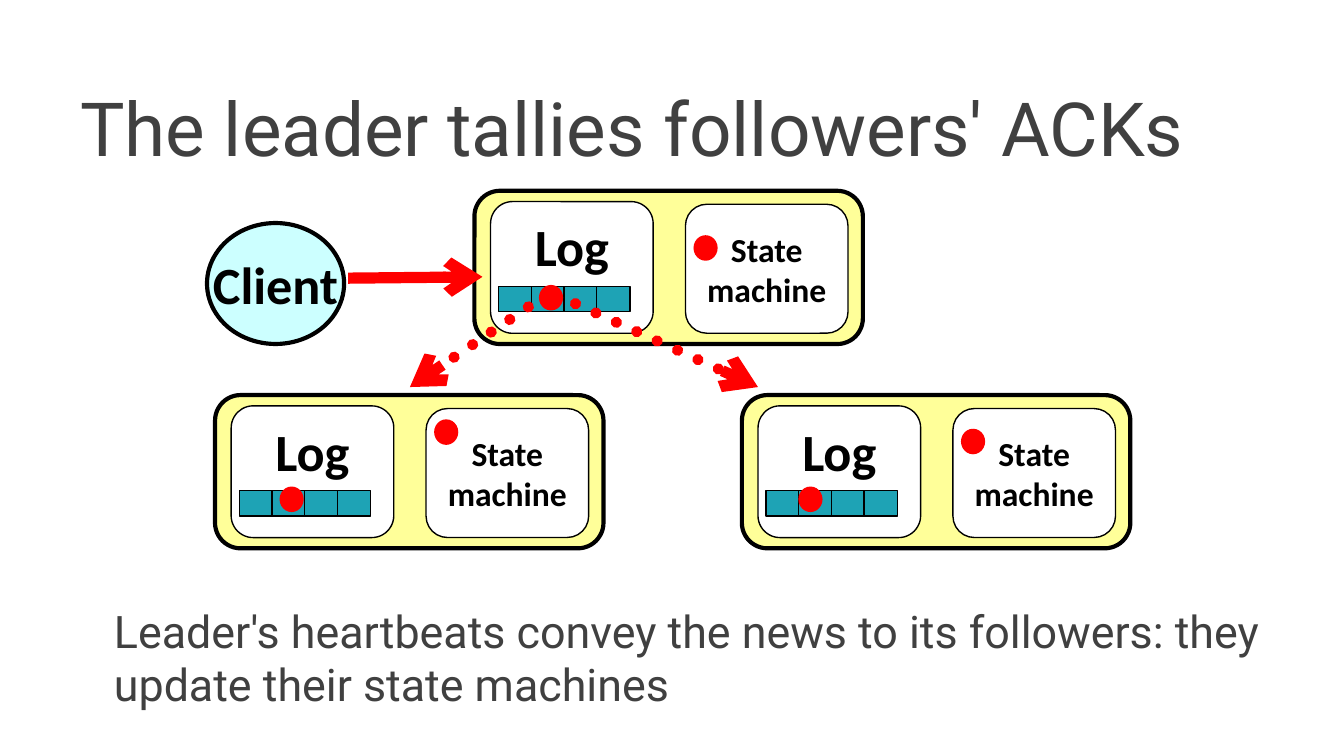
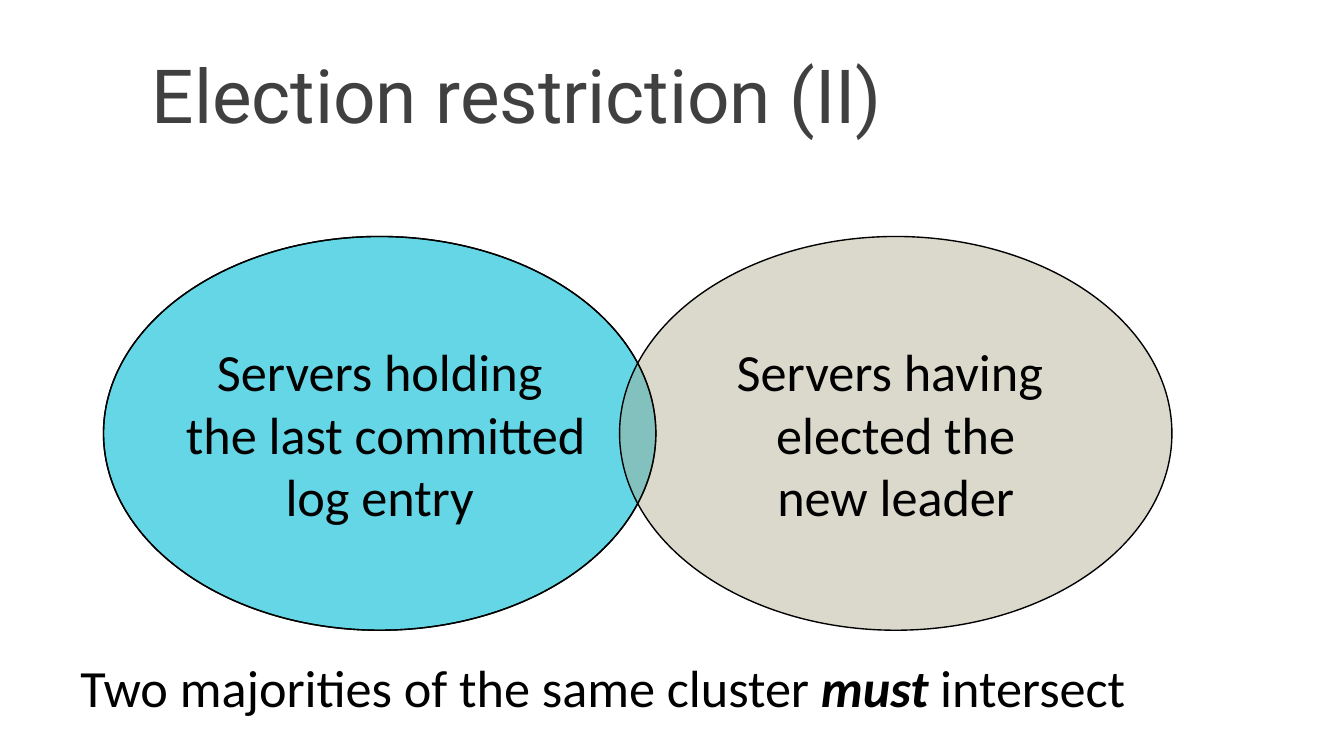
from dataclasses import dataclass
from typing import Optional

from lxml import etree
from pptx import Presentation
from pptx import util as u
from pptx.dml.color import RGBColor
from pptx.enum import dml, shapes, text
from pptx.oxml import ns

COLUMN = u.Inches(0.1)
ROW = u.Inches(0.1)
COLUMNS, ROWS = 100, 56.25

BLACK = RGBColor(0x00, 0x00, 0x00)
WHITE = RGBColor(0xFF, 0xFF, 0xFF)
GREY = RGBColor(0x40, 0x40, 0x40)
RED = RGBColor(0xFF, 0x00, 0x00)
YELLOW = RGBColor(0xFF, 0xFF, 0x99)
TEAL = RGBColor(0x1E, 0xA3, 0xB5)
PALE_CYAN = RGBColor(0xCC, 0xFF, 0xFF)
CYAN = RGBColor(0x65, 0xD6, 0xE5)
KHAKI = RGBColor(0xAB, 0xA5, 0x87)

OVAL = shapes.MSO_SHAPE.OVAL
RECTANGLE = shapes.MSO_SHAPE.RECTANGLE
ROUNDED = shapes.MSO_SHAPE.ROUNDED_RECTANGLE
MIDDLE = text.MSO_ANCHOR.MIDDLE
TOP = text.MSO_ANCHOR.TOP
CENTER = text.PP_ALIGN.CENTER
THIN, THICK, ARROW = 0.75, 2.25, 6


@dataclass(frozen=True)
class Box:
    column: float
    row: float
    columns: float
    rows: float

    def moved(self, column: float, row: float) -> "Box":
        return Box(self.column + column, self.row + row, self.columns, self.rows)

    def lengths(self) -> tuple:
        return (round(self.column * COLUMN), round(self.row * ROW),
                round(self.columns * COLUMN), round(self.rows * ROW))


@dataclass(frozen=True)
class Run:
    words: str
    bold: bool = False
    italic: bool = False


@dataclass(frozen=True)
class Style:
    size: float
    font: str = "Calibri"
    color: RGBColor = BLACK


@dataclass(frozen=True)
class Look:
    kind: shapes.MSO_SHAPE
    fill: Optional[RGBColor] = None
    line: float = 0
    opacity: int = 100


@dataclass(frozen=True)
class Server:
    column: float
    row: float
    log_dot: tuple
    state_dot: tuple


@dataclass(frozen=True)
class Arrow:
    start: tuple
    end: tuple
    dotted: bool = False


TITLE = Style(40, "Roboto", GREY)
BODY = Style(24, "Roboto", GREY)
LARGE = Style(28)
SMALL = Style(18)

FRAME_LOOK = Look(ROUNDED, YELLOW, THICK)
PANEL_LOOK = Look(ROUNDED, WHITE, THIN)
CELL_LOOK = Look(RECTANGLE, TEAL, THIN)
DOT_LOOK = Look(OVAL, RED)

FRAME = Box(0, 0, 28.9, 11.4)
STATE_PANEL = Box(15.7, 1, 12.1, 9.6)
LOG_PANEL = Box(1.2, 0.8, 12.1, 9.8)
CELL = Box(1.8, 7.1, 2.5, 1.9)
CELL_COUNT, CELL_STEP = 4, 2.43
DOT = Box(0, 0, 1.8, 1.9)

LEADER = Server(35.3, 14.2, (4.8, 7), (16.3, 3.3))
FOLLOWERS = [
    Server(16, 29.4, (4.8, 6.8), (16.3, 1.8)),
    Server(55.2, 29.4, (4.2, 6.8), (16.3, 2.5)),
]
REQUEST = Arrow((25.9, 20.7), (35.9, 20.6))
HEARTBEATS = [
    Arrow((40.7, 21.9), (30.5, 28.8), True),
    Arrow((41.3, 21.9), (56.4, 28.8), True),
]

MAJORITY = Box(7.7, 17.6, 41.1, 29.3)
MAJORITY_STEP = 38.4


def write(frame, lines: list, style: Style, align=None, anchor=TOP, wrap: bool = False) -> None:
    frame.word_wrap = wrap
    frame.vertical_anchor = anchor
    for index, runs in enumerate(lines):
        paragraph = frame.add_paragraph() if index else frame.paragraphs[0]
        paragraph.alignment = align
        for item in runs:
            run = paragraph.add_run()
            run.text = item.words
            font = run.font
            font.name, font.size = style.font, u.Pt(style.size)
            font.bold, font.italic = item.bold, item.italic
            font.color.rgb = style.color


def add_text(slide, box: Box, lines: list, style: Style, anchor=TOP, wrap: bool = True):
    shape = slide.shapes.add_textbox(*box.lengths())
    write(shape.text_frame, lines, style, anchor=anchor, wrap=wrap)
    return shape


def add_title(slide, box: Box, words: str) -> None:
    add_text(slide, box, [[Run(words)]], TITLE, MIDDLE)


def add_figure(slide, box: Box, look: Look):
    shape = slide.shapes.add_shape(look.kind, *box.lengths())
    shape.shadow.inherit = False
    if look.fill is None:
        shape.fill.background()
    else:
        shape.fill.solid()
        shape.fill.fore_color.rgb = look.fill
    if look.opacity < 100:
        color = shape.fill._xPr.find(".//" + ns.qn("a:srgbClr"))
        etree.SubElement(color, ns.qn("a:alpha"), val=str(look.opacity * 1000))
    if look.line:
        shape.line.color.rgb = BLACK
        shape.line.width = u.Pt(look.line)
    else:
        shape.line.fill.background()
    return shape


def add_labelled(slide, box: Box, look: Look, lines: list, style: Style,
                 bold: bool = False, anchor=MIDDLE) -> None:
    shape = add_figure(slide, box, look)
    write(shape.text_frame, [[Run(line, bold)] for line in lines], style, CENTER, anchor)


def add_server(slide, server: Server) -> None:
    corner = (server.column, server.row)
    add_figure(slide, FRAME.moved(*corner), FRAME_LOOK)
    add_labelled(slide, STATE_PANEL.moved(*corner), PANEL_LOOK,
                 ["State", "machine"], SMALL, True)
    add_labelled(slide, LOG_PANEL.moved(*corner), PANEL_LOOK, ["Log"], LARGE, True, TOP)
    for index in range(CELL_COUNT):
        add_figure(slide, CELL.moved(*corner).moved(index * CELL_STEP, 0), CELL_LOOK)
    for dot in (server.log_dot, server.state_dot):
        add_figure(slide, DOT.moved(*corner).moved(*dot), DOT_LOOK)


def add_arrow(slide, arrow: Arrow) -> None:
    ends = [round(value * unit) for point in (arrow.start, arrow.end)
            for value, unit in zip(point, (COLUMN, ROW))]
    connector = slide.shapes.add_connector(shapes.MSO_CONNECTOR.STRAIGHT, *ends)
    connector.line.color.rgb = RED
    connector.line.width = u.Pt(ARROW)
    line = connector.line._get_or_add_ln()
    if arrow.dotted:
        connector.line.dash_style = dml.MSO_LINE.ROUND_DOT
        line.set("cap", "rnd")
    etree.SubElement(line, ns.qn("a:tailEnd"), type="arrow")
    etree.SubElement(connector._element.spPr, ns.qn("a:effectLst"))


def build_tally(slide) -> None:
    add_title(slide, Box(5, 3.8, 95, 11.2), "The leader tallies followers' ACKs")
    body = add_text(slide, Box(7.5, 44.4, 90, 7.5), [[Run(
        "Leader's heartbeats convey the news to its followers: "
        "they update their state machines")]], BODY)
    body.text_frame.paragraphs[0].space_before = u.Pt(0.2 * BODY.size)
    for server in (LEADER, *FOLLOWERS):
        add_server(slide, server)
    add_labelled(slide, Box(15.4, 16.6, 10.2, 9), Look(OVAL, PALE_CYAN, THICK),
                 ["Client"], LARGE, True)
    for arrow in (REQUEST, *HEARTBEATS):
        add_arrow(slide, arrow)


def build_election(slide) -> None:
    add_title(slide, Box(10.3, 2.3, 78.4, 9.4), "Election restriction (II)")
    add_labelled(slide, MAJORITY, Look(OVAL, CYAN, THIN),
                 ["Servers holding", " the last committed", "log entry"], LARGE)
    add_labelled(slide, MAJORITY.moved(MAJORITY_STEP, 0), Look(OVAL, KHAKI, THIN, 42),
                 ["Servers having ", "elected the", "new leader"], LARGE)
    add_figure(slide, MAJORITY, Look(OVAL, line=THIN))
    conclusion = add_text(slide, Box(5, 48.3, 81.1, 5.7), [[
        Run("Two majorities of the same cluster "),
        Run("must", True, True),
        Run(" intersect"),
    ]], LARGE, wrap=False)
    conclusion.text_frame.auto_size = text.MSO_AUTO_SIZE.SHAPE_TO_FIT_TEXT


def main() -> None:
    presentation = Presentation()
    presentation.slide_width = round(COLUMNS * COLUMN)
    presentation.slide_height = round(ROWS * ROW)
    for build in (build_tally, build_election):
        build(presentation.slides.add_slide(presentation.slide_layouts[6]))
    presentation.save("out.pptx")


if __name__ == "__main__":
    main()
